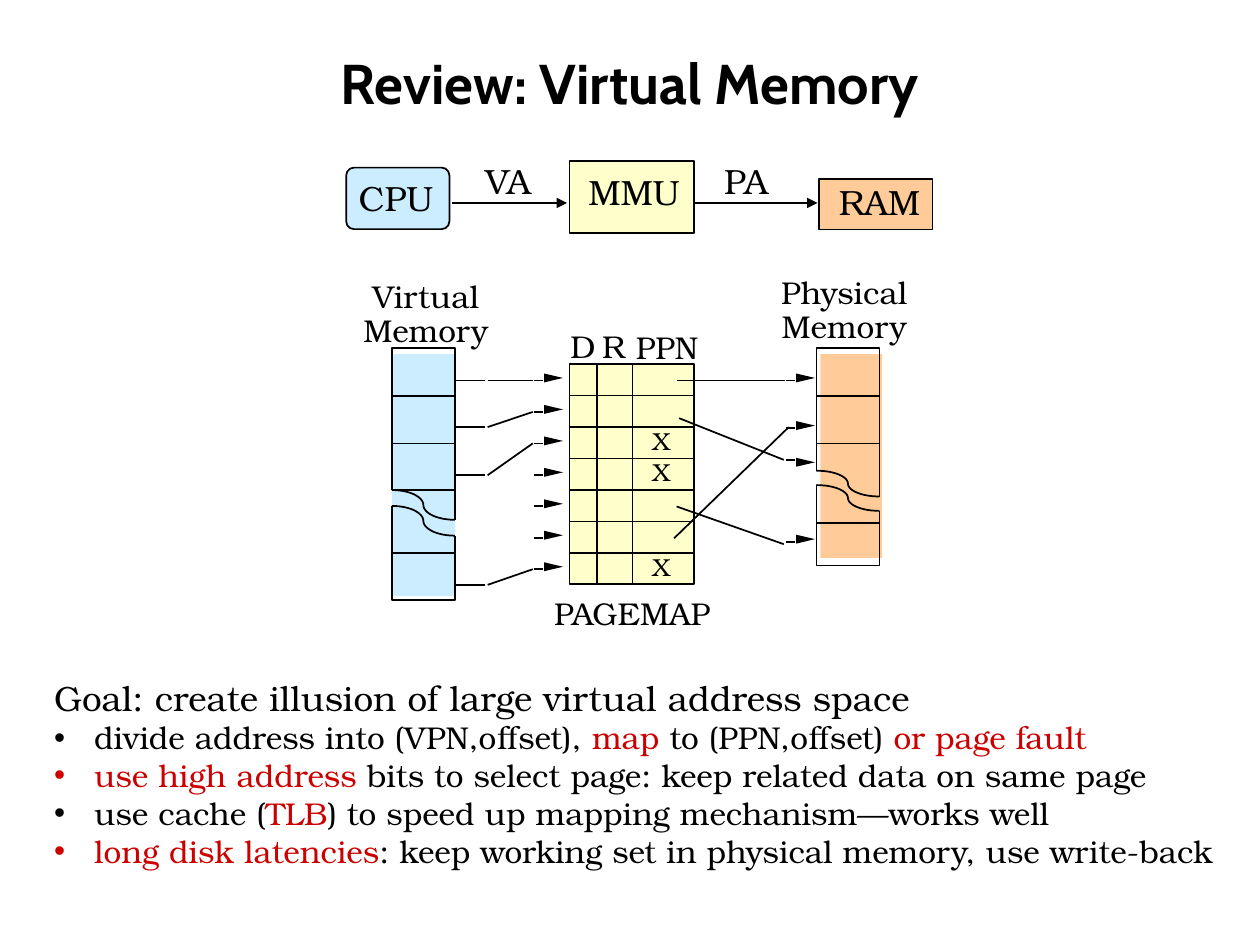
from dataclasses import dataclass
from math import cos, pi, sin
from typing import Optional

from lxml import etree
from pptx import Presentation
from pptx import util as u
from pptx.dml.color import RGBColor
from pptx.enum import shapes, text
from pptx.oxml import ns

Cm, Pt = u.Cm, u.Pt
BLACK, RED = "000000", "CC0000"
BLUE, ORANGE, YELLOW = "CCECFF", "FFCC99", "FFFFCC"
SERIF, SANS = "TeX Gyre Bonum", "Cabin"
RECT, ROUNDED = shapes.MSO_SHAPE.RECTANGLE, shapes.MSO_SHAPE.ROUNDED_RECTANGLE
Point = tuple[float, float]


@dataclass
class Label:
    content: str
    x: float
    y: float
    w: float
    h: float = 0.97
    size: int = 18


@dataclass
class Block:
    x: float
    y: float
    w: float
    h: float
    fill: str
    kind: int = RECT
    outlined: bool = True


@dataclass
class Memory:
    x: float
    bottom: float
    tears: tuple[float, float]
    tear_height: float
    dividers: list[float]
    contents: Block


# All lengths are in centimetres.
MEMORY_TOP, MEMORY_WIDTH = 7.01, 1.27
PAGEMAP = Block(11.48, 7.34, 2.51, 4.44, YELLOW)
ROWS = 7
ROW = PAGEMAP.h / ROWS
COLUMNS = [12.04, 12.75]
ENTRY_X, FRAME_X = 10.97, 16.05
FIRST_TIP = 7.62
STUB_DROP = 0.05
MISSING_ROWS = [2, 3, 6]

MEMORIES = [
    Memory(7.9, 12.09, (9.88, 10.2), 0.6, [7.98, 8.94, 9.88, 11.15],
           Block(7.9, 7.14, 1.27, 4.88, BLUE, outlined=False)),
    Memory(16.46, 11.4, (9.49, 9.78), 0.52, [7.98, 8.94, 10.54],
           Block(16.54, 7.14, 1.24, 4.11, ORANGE, outlined=False)),
]
# Height of each virtual page's lead and the page map row it reaches
VIRTUAL_LEADS = [(7.67, 0), (8.61, 1), (9.58, 2), (11.79, 6)]
# Height of each arrow tip and the drop of its stub
FRAME_ARROWS = [(7.62, 0.05), (8.58, 0.05), (9.32, -0.05), (10.87, 0.05)]
PHYSICAL_LEADS = [
    ((13.64, 7.67), (15.82, 7.67)), ((13.69, 8.43), (15.8, 9.27)),
    ((13.64, 10.21), (15.8, 10.97)), ((15.9, 8.61), (13.59, 10.85)),
]
UNITS = [
    Block(6.98, 3.38, 2.08, 1.24, BLUE, ROUNDED),
    Block(16.51, 3.61, 2.29, 1.02, ORANGE),
    Block(11.48, 3.25, 2.51, 1.45, YELLOW),
]
LABELS = [
    Label("CPU", 6.98, 3.53, 2.16, 1.04, 20),
    Label("RAM", 16.66, 3.61, 2.16, 1.04, 20),
    Label("MMU", 11.61, 3.4, 2.36, 1.04, 20),
    Label("VA", 9.53, 3.18, 1.47, 1.04, 20),
    Label("PA", 14.35, 3.18, 1.42, 1.04, 20),
    Label("Virtual\nMemory", 7.06, 5.54, 3.05, 1.65),
    Label("Physical\nMemory", 15.47, 5.46, 3.1, 1.65),
    Label("D", 11.25, 6.55, 1.02),
    Label("R", 11.89, 6.55, 0.97),
    Label("PPN", 12.57, 6.58, 1.78),
    Label("PAGEMAP", 10.92, 11.94, 3.73),
] + [Label("X", 12.9, 7.26 + row * ROW, 0.86, 0.79, 14) for row in MISSING_ROWS]

GOAL = "Goal: create illusion of large virtual address space"
POINTS = [
    [("divide address into (VPN,offset), ", BLACK), ("map", RED),
     (" to (PPN,offset) ", BLACK), ("or page fault", RED)],
    [("use high address", RED),
     (" bits to select page: keep related data on same page", BLACK)],
    [("use cache (", BLACK), ("TLB", RED),
     (") to speed up mapping mechanism—works well", BLACK)],
    [("long disk latencies", RED),
     (": keep working set in physical memory, use write-back", BLACK)],
]


def rgb(value: str) -> RGBColor:
    return RGBColor.from_string(value)


def style_font(font, size: int, color: str = BLACK, name: str = SERIF) -> None:
    font.name, font.size, font.color.rgb = name, Pt(size), rgb(color)


def paint(shape, fill: Optional[str], outlined: bool) -> None:
    shape.shadow.inherit = False
    if fill:
        shape.fill.solid()
        shape.fill.fore_color.rgb = rgb(fill)
    else:
        shape.fill.background()
    if outlined:
        shape.line.color.rgb, shape.line.width = rgb(BLACK), Pt(1)
    else:
        shape.line.fill.background()


def draw_block(slide, block: Block) -> None:
    shape = slide.shapes.add_shape(
        block.kind, Cm(block.x), Cm(block.y), Cm(block.w), Cm(block.h))
    if block.kind == ROUNDED:
        shape.adjustments[0] = 0.125
    paint(shape, block.fill, block.outlined)


def draw_line(slide, start: Point, end: Point, arrow: bool = False) -> None:
    line = slide.shapes.add_connector(
        shapes.MSO_CONNECTOR.STRAIGHT, *map(Cm, start + end))
    line.line.color.rgb, line.line.width = rgb(BLACK), Pt(1)
    if arrow:
        etree.SubElement(line.line._get_or_add_ln(), ns.qn("a:tailEnd"), type="triangle")
    etree.SubElement(line._element.spPr, ns.qn("a:effectLst"))


def draw_outline(slide, points: list[Point], fill: Optional[str] = None) -> None:
    """Draw a closed solid when a fill is given, else an open line."""
    corners = [(Cm(x), Cm(y)) for x, y in points]
    builder = slide.shapes.build_freeform(*corners[0])
    builder.add_line_segments(corners[1:], close=bool(fill))
    paint(builder.convert_to_shape(), fill, not fill)


def draw_tear(slide, x: float, y: float, height: float) -> None:
    """Draw two quarter ellipses that meet in the middle of the memory."""
    half_w, half_h = MEMORY_WIDTH / 2, height / 2
    angles = [step * pi / 24 for step in range(13)]
    left = [(x + half_w * sin(a), y + half_h * (1 - cos(a))) for a in angles]
    right = [(x + half_w * (2 - cos(a)), y + half_h * (1 + sin(a))) for a in angles]
    draw_outline(slide, left + right)


def draw_memory(slide, memory: Memory) -> None:
    left, right = memory.x, memory.x + MEMORY_WIDTH
    upper, lower = memory.tears
    draw_block(slide, memory.contents)
    for edge, tear in ((MEMORY_TOP, upper), (memory.bottom, lower)):
        draw_outline(slide, [(left, tear), (left, edge), (right, edge),
                             (right, tear + memory.tear_height)])
        draw_tear(slide, left, tear, memory.tear_height)
    for y in memory.dividers:
        draw_line(slide, (left, y), (right, y))


def draw_arrow(slide, x: float, tip_y: float, stub_drop: float = STUB_DROP) -> None:
    draw_outline(slide, [(x + 0.38, tip_y), (x, tip_y + 0.09), (x, tip_y - 0.09)], BLACK)
    stub_y = tip_y + stub_drop
    draw_line(slide, (x - 0.2, stub_y), (x - 0.02, stub_y))


def draw_pagemap(slide) -> None:
    draw_block(slide, PAGEMAP)
    for row in range(1, ROWS):
        y = PAGEMAP.y + row * ROW
        draw_line(slide, (PAGEMAP.x, y), (PAGEMAP.x + PAGEMAP.w, y))
    for x in COLUMNS:
        draw_line(slide, (x, PAGEMAP.y), (x, PAGEMAP.y + PAGEMAP.h))


def add_textbox(slide, x: float, y: float, w: float, h: float):
    frame = slide.shapes.add_textbox(Cm(x), Cm(y), Cm(w), Cm(h)).text_frame
    frame.word_wrap = False
    return frame


def draw_label(slide, label: Label) -> None:
    frame = add_textbox(slide, label.x, label.y, label.w, label.h)
    frame.text = label.content
    for paragraph in frame.paragraphs:
        paragraph.line_spacing = 0.9
        if "\n" in label.content:
            paragraph.alignment = text.PP_ALIGN.CENTER
        style_font(paragraph.runs[0].font, label.size)


def draw_title(slide) -> None:
    frame = add_textbox(slide, 1.27, 0.76, 22.86, 1.78)
    frame.word_wrap, frame.vertical_anchor = True, text.MSO_ANCHOR.MIDDLE
    frame.text = "Review: Virtual Memory"
    frame.paragraphs[0].alignment = text.PP_ALIGN.CENTER
    font = frame.paragraphs[0].runs[0].font
    style_font(font, 32, name=SANS)
    font.bold = True


def draw_goal(slide) -> None:
    frame = add_textbox(slide, 0.84, 13.51, 23.93, 4.27)
    frame.text = GOAL
    style_font(frame.paragraphs[0].runs[0].font, 20)
    for point in POINTS:
        paragraph = frame.add_paragraph()
        properties = paragraph._p.get_or_add_pPr()
        properties.set("marL", str(Cm(0.81)))
        properties.set("indent", str(-Cm(0.81)))
        etree.SubElement(properties, ns.qn("a:buFont"), typeface="Arial")
        etree.SubElement(properties, ns.qn("a:buChar"), char="•")
        for content, color in point:
            run = paragraph.add_run()
            run.text = content
            style_font(run.font, 18, color)


def main() -> None:
    deck = Presentation()
    deck.slide_width, deck.slide_height = Cm(25.4), Cm(19.05)
    slide = deck.slides.add_slide(deck.slide_layouts[6])
    draw_goal(slide)
    for memory in MEMORIES:
        draw_memory(slide, memory)
    draw_pagemap(slide)
    for row in range(ROWS):
        draw_arrow(slide, ENTRY_X, FIRST_TIP + row * ROW)
    for tip_y, stub_drop in FRAME_ARROWS:
        draw_arrow(slide, FRAME_X, tip_y, stub_drop)
    for y, row in VIRTUAL_LEADS:
        draw_line(slide, (9.19, y), (9.78, y))
        draw_line(slide, (9.83, y), (10.74, FIRST_TIP + STUB_DROP + row * ROW))
    for start, end in PHYSICAL_LEADS:
        draw_line(slide, start, end)
    for unit in UNITS:
        draw_block(slide, unit)
    for start_x, end_x in ((9.12, 11.43), (13.97, 16.48)):
        draw_line(slide, (start_x, 4.09), (end_x, 4.09), arrow=True)
    for label in LABELS:
        draw_label(slide, label)
    draw_title(slide)
    deck.save("out.pptx")


if __name__ == "__main__":
    main()
